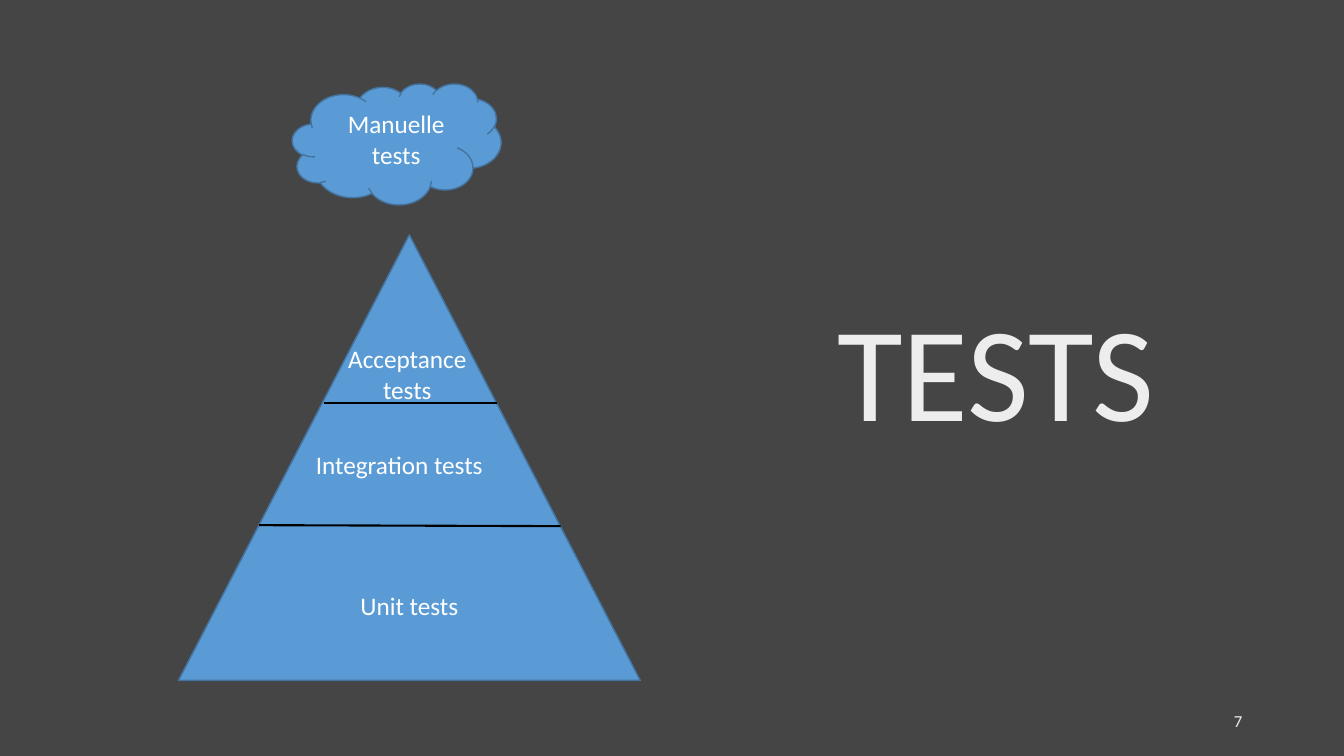
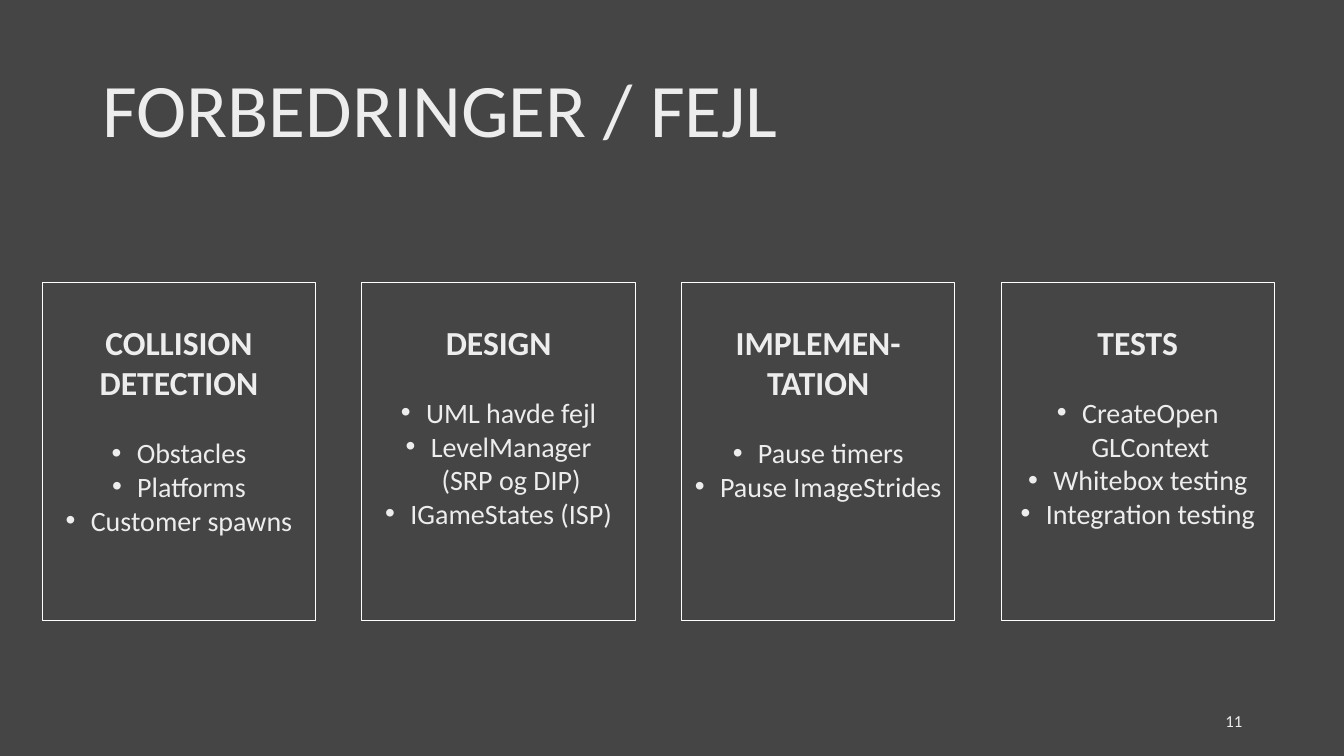
"""Build two dark slides: a test pyramid and a four-card overview of improvements."""
from dataclasses import dataclass

from lxml.etree import SubElement
from pptx import Presentation
from pptx.dml.color import RGBColor
from pptx.enum.shapes import MSO_CONNECTOR, MSO_SHAPE
from pptx.enum.text import MSO_ANCHOR, MSO_AUTO_SIZE, PP_ALIGN
from pptx.oxml.ns import qn
from pptx.util import Inches, Pt


@dataclass(frozen=True)
class Theme:
    font: str = "Calibri"
    background: RGBColor = RGBColor(0x45, 0x45, 0x45)
    text: RGBColor = RGBColor(0xED, 0xED, 0xED)
    white: RGBColor = RGBColor(0xFF, 0xFF, 0xFF)
    black: RGBColor = RGBColor(0x00, 0x00, 0x00)
    blue: RGBColor = RGBColor(0x5B, 0x9B, 0xD5)
    blue_edge: RGBColor = RGBColor(0x43, 0x73, 0x9E)
    hero: int = 96
    title: int = 54
    heading: int = 24
    item: int = 20
    label: int = 18
    number: int = 12


theme = Theme()


def write(paragraph, text, size, align=PP_ALIGN.CENTER, color=theme.text, bold=False, bullet=False):
    paragraph.text = text
    properties = paragraph._p.get_or_add_pPr()
    properties.set("marL", str(Inches(0.25 if bullet else 0)))
    properties.set("indent", str(Inches(-0.25 if bullet else 0)))
    if bullet:
        SubElement(properties, qn("a:buFont")).set("typeface", "Arial")
        SubElement(properties, qn("a:buChar")).set("char", "•")
    else:
        SubElement(properties, qn("a:buNone"))
    paragraph.alignment = align
    paragraph.line_spacing = 1.0
    paragraph.space_before = Pt(0)
    paragraph.font.name = theme.font
    paragraph.font.size = Pt(size)
    paragraph.font.bold = bold
    paragraph.font.color.rgb = color


def place(shape, left, top, width, height, anchor):
    shape.left, shape.top = Inches(left), Inches(top)
    shape.width, shape.height = Inches(width), Inches(height)
    frame = shape.text_frame
    frame.word_wrap = True
    frame.auto_size = MSO_AUTO_SIZE.NONE
    frame.vertical_anchor = anchor
    return frame


presentation = Presentation()
presentation.slide_width = Inches(13.33)
presentation.slide_height = Inches(7.5)
master_fill = presentation.slide_master.background.fill
master_fill.solid()
master_fill.fore_color.rgb = theme.background

pages = [
    (5, "TESTS", theme.hero, PP_ALIGN.CENTER, (7.57, 0, 4.62, 7.5), "7"),
    (1, "FORBEDRINGER / FEJL", theme.title, PP_ALIGN.LEFT, (0.92, 0.4, 11.5, 1.45), "11"),
]
slides = []
for layout, title, size, align, box, number in pages:
    slide = presentation.slides.add_slide(presentation.slide_layouts[layout])
    frame = place(slide.shapes.title, *box, MSO_ANCHOR.MIDDLE)
    write(frame.paragraphs[0], title, size, align)
    frame.paragraphs[0].line_spacing = 0.9
    frame = place(slide.shapes.add_textbox(0, 0, 0, 0), 9.42, 6.95, 3, 0.4, MSO_ANCHOR.MIDDLE)
    write(frame.paragraphs[0], number, theme.number, PP_ALIGN.RIGHT)
    slides.append(slide)
pyramid_slide, cards_slide = slides

for preset, box, adjustments in [
    (MSO_SHAPE.CLOUD_CALLOUT, (2.9, 0.83, 2.07, 1.2), (0.17, 3.18)),
    (MSO_SHAPE.ISOSCELES_TRIANGLE, (1.77, 2.33, 4.58, 4.42), ()),
]:
    shape = pyramid_slide.shapes.add_shape(preset, *map(Inches, box))
    for index, value in enumerate(adjustments):
        shape.adjustments[index] = value
    shape.shadow.inherit = False
    shape.fill.solid()
    shape.fill.fore_color.rgb = theme.blue
    shape.line.color.rgb = theme.blue_edge
    shape.line.width = Pt(1)

for lines, left, top, height in [
    (["Manuelle", "tests"], 2.91, 1.03, 0.71),
    (["Acceptance", "tests"], 3.02, 3.36, 0.71),
    (["Integration tests"], 2.94, 4.41, 0.4),
    (["Unit tests"], 3.04, 5.81, 0.4),
]:
    label = pyramid_slide.shapes.add_textbox(0, 0, 0, 0)
    frame = place(label, left, top, 2.04, height, MSO_ANCHOR.TOP)
    for index, line in enumerate(lines):
        paragraph = frame.add_paragraph() if index else frame.paragraphs[0]
        write(paragraph, line, theme.label, color=theme.white)

for ends in [(2.57, 5.21, 5.56, 5.22), (3.21, 4, 4.93, 4)]:
    divider = pyramid_slide.shapes.add_connector(MSO_CONNECTOR.STRAIGHT, *map(Inches, ends))
    divider.line.color.rgb = theme.black
    divider.line.width = Pt(1.5)
    SubElement(divider._element.spPr, qn("a:effectLst"))

cards = [
    ("COLLISION\vDETECTION", ["Obstacles", "Platforms", "Customer spawns"]),
    ("DESIGN", ["UML havde fejl", "LevelManager\v(SRP og DIP)", "IGameStates (ISP)"]),
    ("IMPLEMEN-\vTATION", ["Pause timers", "Pause ImageStrides"]),
    ("TESTS", ["CreateOpen\vGLContext", "Whitebox testing", "Integration testing"]),
]
for column, (heading, items) in enumerate(cards):
    if column == 0:
        card = cards_slide.placeholders[1]
    else:
        card = cards_slide.shapes.add_shape(MSO_SHAPE.RECTANGLE, 0, 0, 0, 0)
        card.shadow.inherit = False
    card.fill.background()
    card.line.color.rgb = theme.white
    card.line.width = Pt(0.75)
    frame = place(card, 0.42 + 3.17 * column, 2.8, 2.71, 3.36, MSO_ANCHOR.TOP)
    frame.margin_top = Inches(0.39)
    write(frame.paragraphs[0], heading, theme.heading, bold=True)
    frame.paragraphs[0].space_after = Pt(24)
    for item in items:
        write(frame.add_paragraph(), item, theme.item, bullet=True)

presentation.save("out.pptx")
